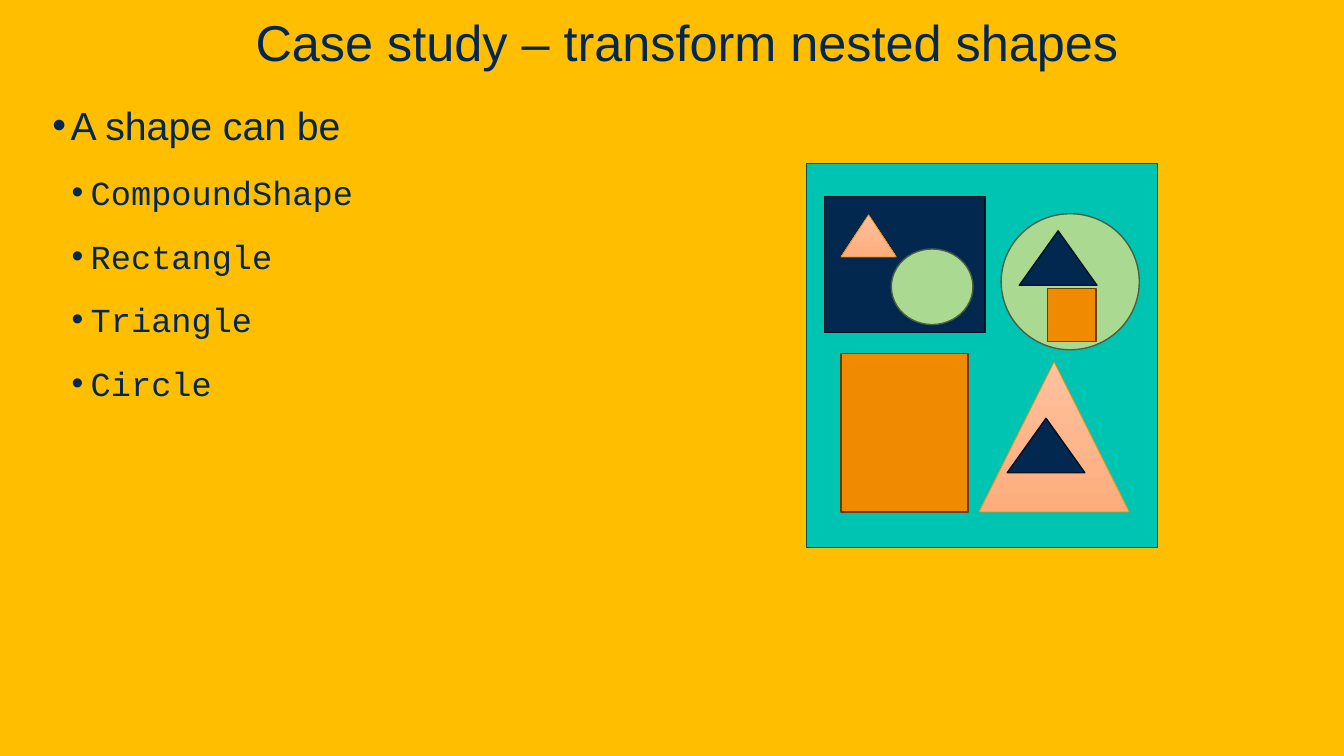
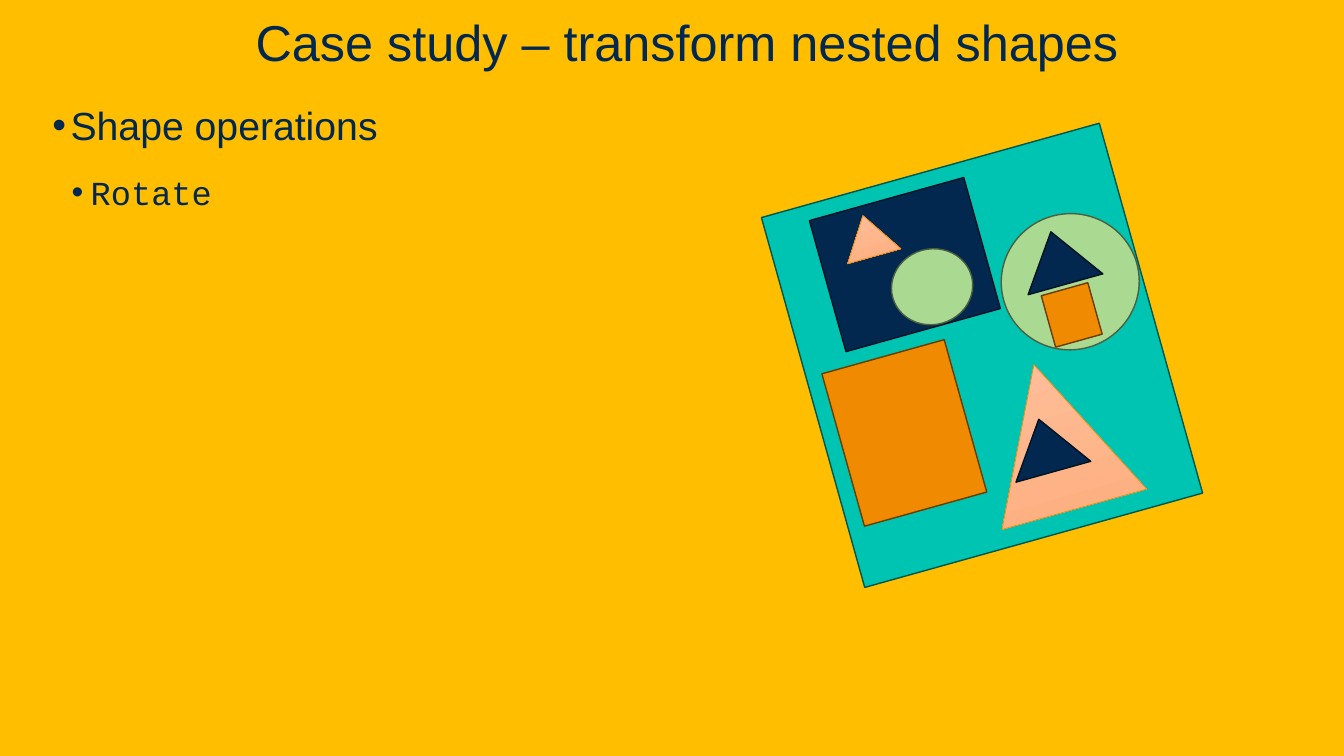
from dataclasses import dataclass

from lxml.etree import SubElement
from pptx import Presentation
from pptx.dml.color import RGBColor
from pptx.enum.shapes import MSO_SHAPE as SHAPE
from pptx.enum.text import MSO_ANCHOR as ANCHOR, MSO_AUTO_SIZE as AUTO_SIZE, PP_ALIGN as ALIGN
from pptx.oxml.ns import qn
from pptx.util import Emu, Pt


@dataclass(frozen=True)
class Theme:
    background: str = "FFBE00"
    ink: str = "022850"
    sans: str = "Arial"
    mono: str = "Courier New"
    title_size: int = 36
    item_size: int = 28
    subitem_size: int = 24


@dataclass(frozen=True)
class Paint:
    fills: tuple
    line: str
    width: float = 1


THEME = Theme()
TEAL = Paint(("00C4B2",), "00564E")
NAVY = Paint((THEME.ink,), "011223")
ORANGE = Paint(("F08A00",), "693C00")
GREEN = Paint(("AADA91",), "4B6040")
PEACH = Paint(("FFC19E", "FDAD7C"), "F08A00", 0.5)

NESTED_SHAPES = [
    (SHAPE.RECTANGLE, TEAL, (800, 162, 348, 381)),
    (SHAPE.RECTANGLE, NAVY, (818, 195, 159, 135)),
    (SHAPE.RECTANGLE, ORANGE, (834, 351, 126, 157)),
    (SHAPE.OVAL, GREEN, (993, 212, 137, 135)),
    (SHAPE.ISOSCELES_TRIANGLE, PEACH, (971, 359, 149, 149)),
    (SHAPE.ISOSCELES_TRIANGLE, PEACH, (834, 213, 55, 42)),
    (SHAPE.OVAL, GREEN, (884, 247, 81, 75)),
    (SHAPE.ISOSCELES_TRIANGLE, NAVY, (999, 415, 77, 54)),
    (SHAPE.ISOSCELES_TRIANGLE, NAVY, (1011, 229, 77, 54)),
    (SHAPE.RECTANGLE, ORANGE, (1039, 286, 48, 53)),
]


def px(n):
    return Emu(n * 9144)


def rgb(value):
    return RGBColor.from_string(value)


def place(sp, left, top, width, height):
    sp.left, sp.top, sp.width, sp.height = map(px, (left, top, width, height))


def write_text(p, text, *, size, font=THEME.sans, color=THEME.ink, align=ALIGN.LEFT,
               margin=0, indent=0, bullet=None, spacing=1.0, before=0, after=0):
    p.alignment = align
    p.line_spacing = spacing
    p.space_before, p.space_after = Pt(before), Pt(after)
    pPr = p._p.get_or_add_pPr()
    pPr.set("marL", str(px(margin)))
    pPr.set("indent", str(px(indent)))
    if bullet:
        SubElement(pPr, qn("a:buFont")).set("typeface", THEME.sans)
        SubElement(pPr, qn("a:buChar")).set("char", bullet)
    r = p.add_run()
    r.text = text
    r.font.name, r.font.size = font, Pt(size)
    r.font.color.rgb = rgb(color)


def add_title(s, text):
    sp = s.shapes.title
    place(sp, 0, 0, 1333, 76)
    tf = sp.text_frame
    tf.auto_size = AUTO_SIZE.NONE
    tf.vertical_anchor = ANCHOR.BOTTOM
    write_text(tf.paragraphs[0], text, size=THEME.title_size, align=ALIGN.CENTER, margin=30)


def add_list(s, heading, items):
    sp = s.placeholders[1]
    place(sp, 42, 86, 616, 552)
    tf = sp.text_frame
    tf.auto_size = AUTO_SIZE.NONE
    tf.vertical_anchor = ANCHOR.TOP
    common = dict(bullet="•", spacing=1.2, after=6)
    write_text(tf.paragraphs[0], heading, size=THEME.item_size, margin=18, indent=-18, **common)
    for item in items:
        p = tf.add_paragraph()
        p.level = 1
        write_text(p, item, size=THEME.subitem_size, font=THEME.mono,
                   margin=38, indent=-19, before=5, **common)


def paint_shape(sp, paint):
    sp.shadow.inherit = False
    if len(paint.fills) == 1:
        sp.fill.solid()
        sp.fill.fore_color.rgb = rgb(paint.fills[0])
    else:
        sp.fill.gradient()
        sp.fill.gradient_angle = 270
        for stop, color in zip(sp.fill.gradient_stops, paint.fills):
            stop.color.rgb = rgb(color)
    sp.line.color.rgb = rgb(paint.line)
    sp.line.width = Pt(paint.width)


def add_nested_shapes(s, rotation):
    for kind, paint, box in NESTED_SHAPES:
        sp = s.shapes.add_shape(kind, *map(px, box))
        sp.rotation = rotation
        paint_shape(sp, paint)


def add_case_slide(prs, heading, items, rotation=0):
    s = prs.slides.add_slide(prs.slide_layouts[1])
    add_title(s, "Case study – transform nested shapes")
    add_list(s, heading, items)
    add_nested_shapes(s, rotation)


def main():
    prs = Presentation()
    prs.slide_width, prs.slide_height = px(1333), px(750)
    background = prs.slide_master.background.fill
    background.solid()
    background.fore_color.rgb = rgb(THEME.background)
    add_case_slide(prs, "A shape can be", ["CompoundShape", "Rectangle", "Triangle", "Circle"])
    add_case_slide(prs, "Shape operations", ["Rotate"], rotation=344.4)
    prs.save("out.pptx")


if __name__ == "__main__":
    main()
